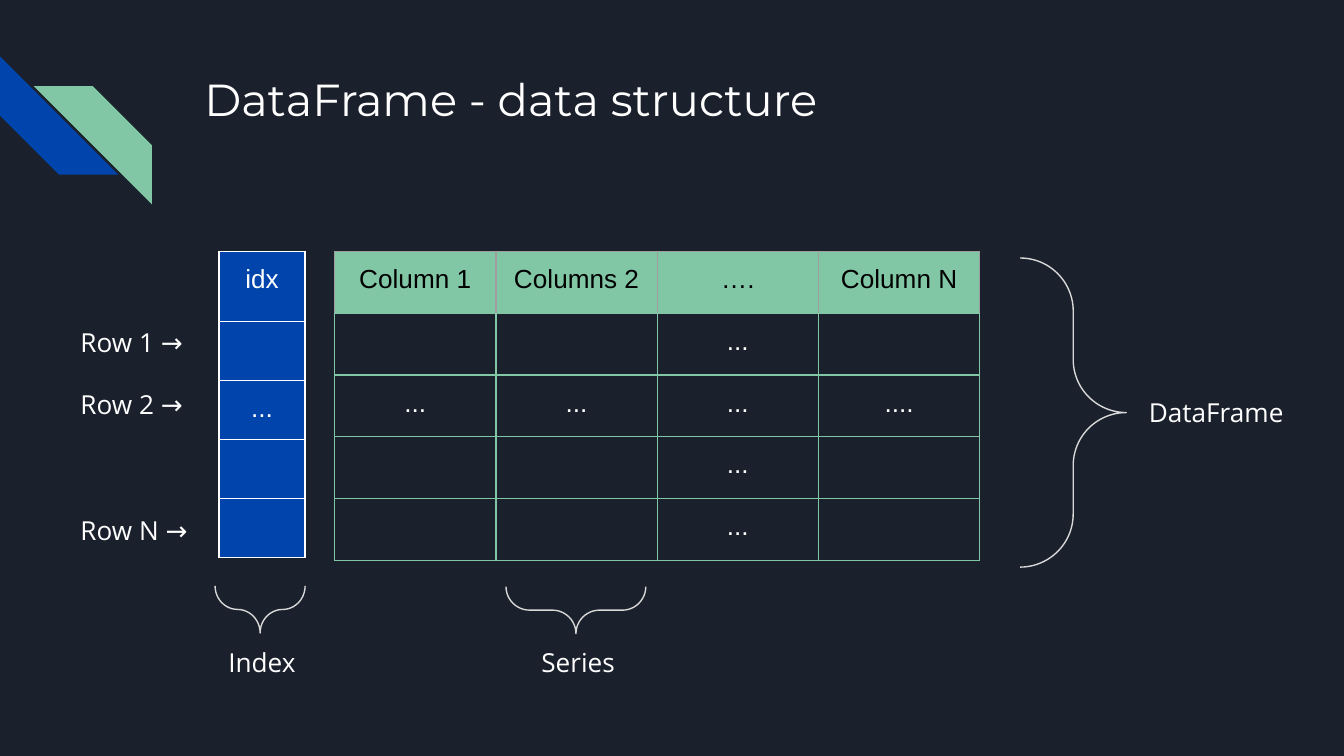
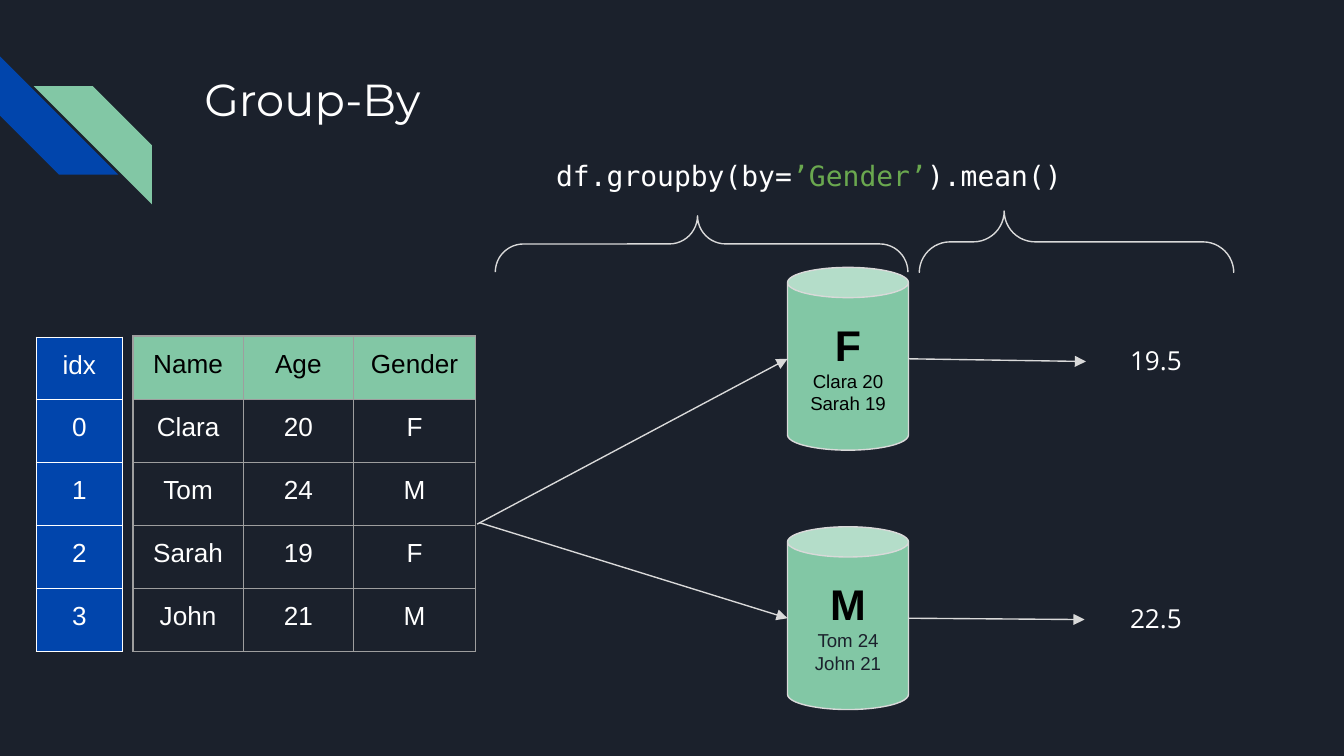
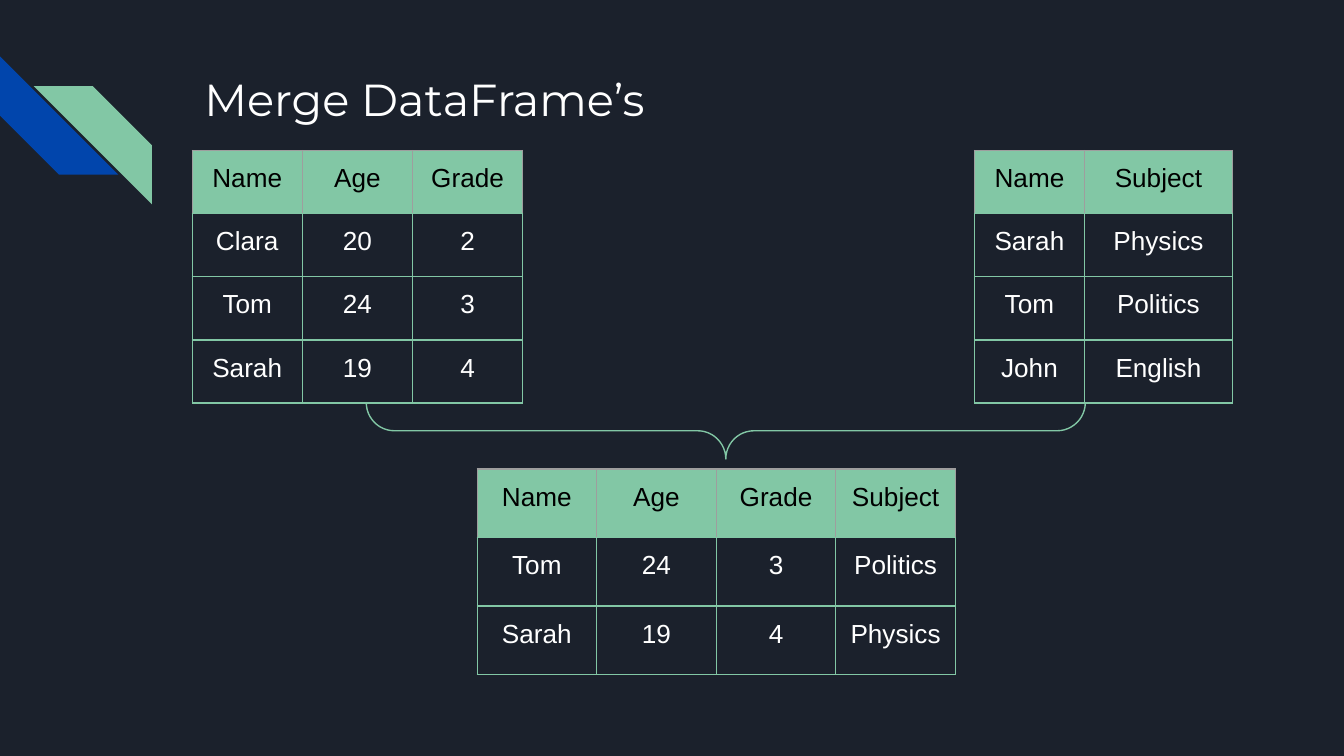
"""Build three slides on DataFrame structure, grouping and merging."""
from dataclasses import dataclass

from lxml.etree import SubElement
from pptx import Presentation
from pptx.dml.color import RGBColor
from pptx.enum.shapes import MSO_CONNECTOR, MSO_SHAPE as SHAPE
from pptx.enum.text import MSO_ANCHOR as ANCHOR, MSO_AUTO_SIZE as FIT, PP_ALIGN as ALIGN
from pptx.oxml.ns import qn
from pptx.util import Inches, Pt


@dataclass(frozen=True)
class Theme:
    night: str = "1B212C"
    blue: str = "0145AC"
    mint: str = "82C7A5"
    white: str = "FFFFFF"
    black: str = "000000"
    silver: str = "D9D9D9"
    gray: str = "9E9E9E"
    leaf: str = "6AA84F"
    title_font: str = "Montserrat"
    label_font: str = "Open Sans"
    cell_font: str = "Arial"
    code_font: str = "DejaVu Sans Mono"
    title_size: float = 24
    group_size: float = 23
    code_size: float = 15
    text_size: float = 14
    member_size: float = 10
    hairline: float = 0.75
    inset: float = 0.1


theme = Theme()


def rgb(color):
    return RGBColor.from_string(color)


def write(paragraph, text, size=theme.text_size, font=theme.label_font,
          color=theme.white, bold=False, align=ALIGN.LEFT, before=0):
    paragraph.alignment = align
    paragraph.space_before = Pt(before)
    run = paragraph.add_run()
    run.text = text
    run.font.size = Pt(size)
    run.font.name = font
    run.font.bold = bold
    run.font.color.rgb = rgb(color)


deck = Presentation()
deck.slide_width = Inches(10)
deck.slide_height = deck.slide_width * 9 // 16
layout = deck.slide_layouts[5]
layout.background.fill.solid()
layout.background.fill.fore_color.rgb = rgb(theme.night)
heading = layout.placeholders[0]
heading.left, heading.top = Inches(1.42), Inches(0.43)
heading.width, heading.height = Inches(7.7), Inches(1)

slides = []
for topic in ("DataFrame - data structure", "Group-By", "Merge DataFrame’s"):
    slide = deck.slides.add_slide(layout)
    frame = slide.shapes.title.text_frame
    frame.auto_size = FIT.NONE
    frame.vertical_anchor = ANCHOR.TOP
    frame.margin_left = frame.margin_top = frame.margin_right = frame.margin_bottom = Inches(theme.inset)
    write(frame.paragraphs[0], topic, size=theme.title_size, font=theme.title_font)
    slides.append(slide)
structure, grouping, merging = slides

stripes = [(0, 0.42, 270, False, theme.blue), (0.25, 0.64, 0, True, theme.mint)]
for number, (left, top, turn, flipped, color) in enumerate(stripes, start=20):
    stripe = structure.shapes.add_shape(
        SHAPE.DIAGONAL_STRIPE, Inches(left), Inches(top), Inches(0.88), Inches(0.88))
    stripe.adjustments[0] = 0.5
    stripe.rotation = turn
    stripe.fill.solid()
    stripe.fill.fore_color.rgb = rgb(color)
    stripe.line.fill.background()
    stripe.shadow.inherit = False
    if flipped:
        stripe.element.spPr.find(qn("a:xfrm")).set("flipH", "1")
    stripe.element.nvSpPr.cNvPr.id = number
    layout.shapes.element.append(stripe.element)

data_look = dict(head=theme.mint, body=None, head_text=theme.black, edge=theme.mint, head_edge=theme.gray)
people_look = {**data_look, "edge": theme.gray}
index_look = dict(head=theme.blue, body=theme.blue, head_text=theme.white,
                  edge=theme.white, head_edge=theme.white)
grids = [
    (structure, 2.49, 1.87, [1.2] * 4, [0.46] * 5, data_look, [
        ["Column 1", "Columns 2", "….", "Column N"],
        ["", "", "...", ""],
        ["...", "...", "...", "...."],
        ["", "", "...", ""],
        ["", "", "...", ""]]),
    (structure, 1.63, 1.87, [0.64], [0.52] + [0.44] * 4, index_look,
     [["idx"], [""], ["..."], [""], [""]]),
    (grouping, 0.99, 2.5, [0.82, 0.82, 0.91], [0.47] * 5, people_look, [
        ["Name", "Age", "Gender"],
        ["Clara", "20", "F"],
        ["Tom", "24", "M"],
        ["Sarah", "19", "F"],
        ["John", "21", "M"]]),
    (grouping, 0.27, 2.51, [0.64], [0.46] + [0.47] * 4, index_look,
     [["idx"], ["0"], ["1"], ["2"], ["3"]]),
    (merging, 1.43, 1.12, [0.82] * 3, [0.47] * 4, data_look, [
        ["Name", "Age", "Grade"],
        ["Clara", "20", "2"],
        ["Tom", "24", "3"],
        ["Sarah", "19", "4"]]),
    (merging, 7.25, 1.12, [0.82, 1.1], [0.47] * 4, data_look, [
        ["Name", "Subject"],
        ["Sarah", "Physics"],
        ["Tom", "Politics"],
        ["John", "English"]]),
    (merging, 3.55, 3.49, [0.89] * 4, [0.51] * 3, data_look, [
        ["Name", "Age", "Grade", "Subject"],
        ["Tom", "24", "3", "Politics"],
        ["Sarah", "19", "4", "Physics"]]),
]
for slide, left, top, widths, heights, look, records in grids:
    grid = slide.shapes.add_table(
        len(heights), len(widths), Inches(left), Inches(top),
        Inches(sum(widths)), Inches(sum(heights))).table
    grid.first_row = grid.horz_banding = False
    for column, width in zip(grid.columns, widths):
        column.width = Inches(width)
    for r, (height, record) in enumerate(zip(heights, records)):
        grid.rows[r].height = Inches(height)
        for c, value in enumerate(record):
            cell = grid.cell(r, c)
            cell.margin_left = cell.margin_top = cell.margin_right = cell.margin_bottom = Inches(theme.inset)
            paragraph = cell.text_frame.paragraphs[0]
            if value:
                write(paragraph, value, font=theme.cell_font, align=ALIGN.CENTER,
                      color=theme.white if r else look["head_text"])
            else:
                SubElement(paragraph._p, qn("a:endParaRPr"), sz=str(theme.text_size * 100))
            for side in "LRTB":
                edge = look["edge"] if r or side == "B" else look["head_edge"]
                border = SubElement(cell._tc.get_or_add_tcPr(), qn(f"a:ln{side}"),
                                    w=str(Pt(theme.hairline)))
                SubElement(SubElement(border, qn("a:solidFill")), qn("a:srgbClr"), val=edge)
            fill = look["body"] if r else look["head"]
            if fill:
                cell.fill.solid()
                cell.fill.fore_color.rgb = rgb(fill)
            else:
                cell.fill.background()

groups = [
    (1.99, "F", ["Clara 20", "Sarah 19"], theme.black),
    (3.92, "M", ["Tom 24", "John 21"], theme.night),
]
for top, gender, members, color in groups:
    group = grouping.shapes.add_shape(SHAPE.CAN, Inches(5.86), Inches(top), Inches(0.9), Inches(1.36))
    group.adjustments[0] = 0.25
    group.fill.solid()
    group.fill.fore_color.rgb = rgb(theme.mint)
    group.line.color.rgb = rgb(theme.silver)
    group.line.width = Pt(theme.hairline)
    group.shadow.inherit = False
    frame = group.text_frame
    frame.vertical_anchor = ANCHOR.MIDDLE
    frame.margin_left = frame.margin_top = frame.margin_right = frame.margin_bottom = Inches(theme.inset)
    write(frame.paragraphs[0], gender, size=theme.group_size, font=theme.cell_font,
          color=theme.black, bold=True, align=ALIGN.CENTER)
    for member in members:
        write(frame.add_paragraph(), member, size=theme.member_size, font=theme.cell_font,
              color=color, align=ALIGN.CENTER)

arrows = [
    (3.55, 3.9, 5.86, 2.67),
    (3.57, 3.89, 5.86, 4.6),
    (6.76, 2.67, 8.08, 2.69),
    (6.76, 4.6, 8.07, 4.61),
]
for ends in arrows:
    arrow = grouping.shapes.add_connector(MSO_CONNECTOR.STRAIGHT, *map(Inches, ends))
    arrow.line.color.rgb = rgb(theme.silver)
    arrow.line.width = Pt(theme.hairline)
    properties = arrow.element.spPr
    SubElement(properties.find(qn("a:ln")), qn("a:tailEnd"), type="triangle")
    SubElement(properties, qn("a:effectLst"))

braces = [
    (structure, SHAPE.RIGHT_BRACE, (7.59, 1.92, 0.79, 2.3), 0, 0.5, theme.silver),
    (structure, SHAPE.RIGHT_BRACE, (1.76, 4.2, 0.35, 0.67), 90, 0.5, theme.silver),
    (structure, SHAPE.RIGHT_BRACE, (4.11, 4.02, 0.35, 1.04), 90, 0.5, theme.silver),
    (grouping, SHAPE.LEFT_BRACE, (5.01, 0.28, 0.42, 3.07), 90, 0.51, theme.silver),
    (grouping, SHAPE.LEFT_BRACE, (7.78, 0.63, 0.46, 2.34), 90, 0.73, theme.silver),
    (merging, SHAPE.LEFT_BRACE, (5.19, 0.53, 0.42, 5.35), 270, 0.5, theme.mint),
]
for slide, kind, box, turn, tip, color in braces:
    brace = slide.shapes.add_shape(kind, *map(Inches, box))
    brace.adjustments[0], brace.adjustments[1] = 0.5, tip
    brace.rotation = turn
    brace.fill.background()
    brace.line.color.rgb = rgb(color)
    brace.line.width = Pt(theme.hairline)
    brace.shadow.inherit = False

code = dict(size=theme.code_size, font=theme.code_font)
labels = [
    (structure, (8.45, 2.85, 1.5, 0.44), [[("DataFrame", {})]]),
    (structure, (0.5, 2.33, 1.1, 1.85), [
        [("Row 1 →", {})],
        [("Row 2 →", dict(before=16.5))],
        [("Row N →", dict(before=50.5))]]),
    (structure, (1.6, 4.71, 0.95, 0.44), [[("Index", {})]]),
    (structure, (3.93, 4.71, 0.95, 0.44), [[("Series", {})]]),
    (grouping, (8.31, 2.46, 1, 0.44), [[("19.5", {})]]),
    (grouping, (8.31, 4.38, 1, 0.44), [[("22.5", {})]]),
    (grouping, (4.04, 1.08, 4.84, 0.45), [[
        ("df.groupby(by=", code),
        ("’Gender’", {**code, "color": theme.leaf}),
        (").mean()", code)]]),
]
for slide, box, lines in labels:
    frame = slide.shapes.add_textbox(*map(Inches, box)).text_frame
    frame.word_wrap = True
    frame.margin_left = frame.margin_top = frame.margin_right = frame.margin_bottom = Inches(theme.inset)
    for number, pieces in enumerate(lines):
        paragraph = frame.add_paragraph() if number else frame.paragraphs[0]
        for text, style in pieces:
            write(paragraph, text, **style)

deck.save("out.pptx")
